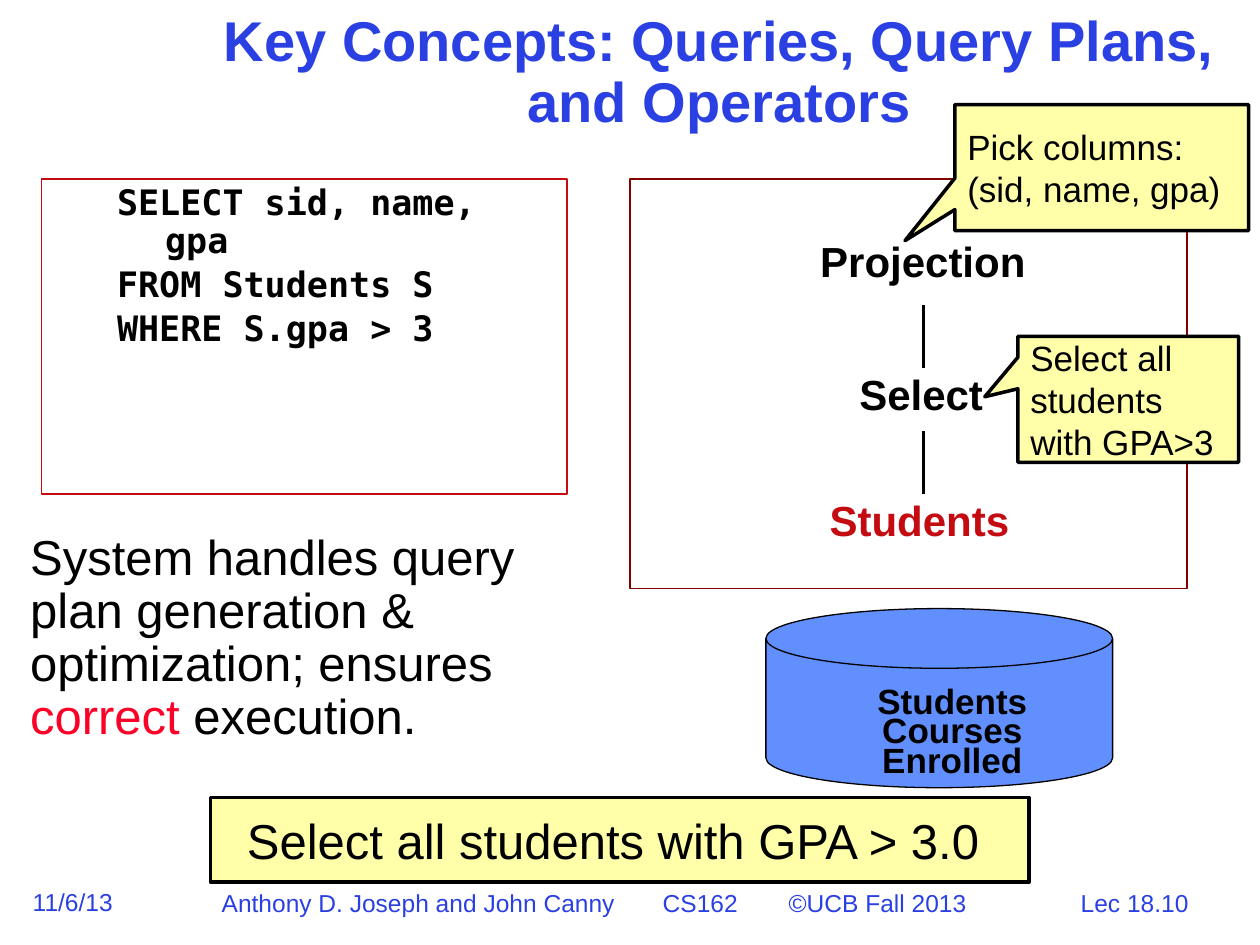
from dataclasses import dataclass
from typing import Optional

from lxml import etree
from pptx import Presentation
from pptx import util as u
from pptx.dml.color import RGBColor
from pptx.enum import shapes, text
from pptx.oxml import ns

COLORS = {
    "blue": "2A40E2",
    "black": "000000",
    "white": "FFFFFF",
    "red": "C40B12",
    "bright_red": "FC0128",
    "maroon": "800000",
    "disk": "618FFD",
    "yellow": "FFFFAA",
}
LEFT, CENTER = text.PP_ALIGN.LEFT, text.PP_ALIGN.CENTER
TOP, MIDDLE, BOTTOM = (
    text.MSO_ANCHOR.TOP,
    text.MSO_ANCHOR.MIDDLE,
    text.MSO_ANCHOR.BOTTOM,
)
RECTANGLE = shapes.MSO_SHAPE.RECTANGLE
CALLOUT = shapes.MSO_SHAPE.RECTANGULAR_CALLOUT
DISK = shapes.MSO_SHAPE.FLOWCHART_MAGNETIC_DISK


@dataclass
class Area:
    left: float
    top: float
    width: float
    height: float

    def lengths(self) -> list:
        return [u.Cm(n) for n in (self.left, self.top, self.width, self.height)]


@dataclass
class Footer:
    area: Area
    words: str
    align: text.PP_ALIGN = LEFT
    tabs: tuple = ()


@dataclass
class Operator:
    area: Area
    name: str
    color: str = "black"
    line_spacing: float = 0.9
    wrap: bool = False


@dataclass
class Callout:
    area: Area
    words: str
    tip: tuple


def rgb(name: str) -> RGBColor:
    return RGBColor.from_string(COLORS[name])


def write(box, paragraphs: list, *, size: float, color: str = "black", font: str = "Arial",
          bold: bool = False, align=LEFT, anchor=TOP, wrap: bool = True,
          line_spacing: Optional[float] = None, before: float = 0, after: float = 0,
          margin: float = 0, indent: float = 0, tabs: tuple = ()) -> None:
    frame = box.text_frame
    frame.word_wrap = wrap
    frame.vertical_anchor = anchor
    for index, spans in enumerate(paragraphs):
        para = frame.add_paragraph() if index else frame.paragraphs[0]
        para.alignment = align
        para.space_before, para.space_after = u.Pt(before), u.Pt(after)
        if line_spacing:
            para.line_spacing = line_spacing
        properties = para._p.get_or_add_pPr()
        properties.set("marL", str(u.Cm(margin)))
        properties.set("indent", str(u.Cm(indent)))
        if tabs:
            stops = etree.SubElement(properties, ns.qn("a:tabLst"))
            for stop in tabs:
                etree.SubElement(stops, ns.qn("a:tab"), pos=str(u.Cm(stop)), algn="l")
        for words, span_color in [(spans, color)] if isinstance(spans, str) else spans:
            for number, line in enumerate(words.split("\n")):
                if number:
                    para.add_line_break()
                span = para.add_run()
                span.text = line
                span.font.size, span.font.name, span.font.bold = u.Pt(size), font, bold
                span.font.color.rgb = rgb(span_color)


def add_text(parent, area: Area, paragraphs: list, **style) -> object:
    box = parent.add_textbox(*area.lengths())
    write(box, paragraphs, **style)
    return box


def add_panel(parent, kind, area: Area, fill: str, line: str, weight: float = 0.75) -> object:
    panel = parent.add_shape(kind, *area.lengths())
    panel.shadow.inherit = False
    panel.fill.solid()
    panel.fill.fore_color.rgb = rgb(fill)
    panel.line.color.rgb = rgb(line)
    panel.line.width = u.Pt(weight)
    return panel


def add_link(parent, x: float, top: float, bottom: float) -> None:
    link = parent.add_connector(
        shapes.MSO_CONNECTOR.STRAIGHT, u.Cm(x), u.Cm(top), u.Cm(x), u.Cm(bottom))
    link.line.color.rgb = rgb("black")
    link.line.width = u.Pt(1.5)
    etree.SubElement(link._element.spPr, ns.qn("a:effectLst"))


def add_callout(parent, callout: Callout) -> None:
    panel = add_panel(parent, CALLOUT, callout.area, "yellow", "black", 2)
    panel.adjustments[0], panel.adjustments[1] = callout.tip
    write(panel, [callout.words], size=20, anchor=MIDDLE)


FOOTERS = [
    Footer(Area(20.68, 17.78, 4.39, 0.84), "Lec 18.10", CENTER),
    Footer(Area(0.41, 17.75, 2.16, 0.84), "11/6/13"),
    Footer(Area(4.22, 17.78, 15.6, 0.84),
           "Anthony D. Joseph and John Canny\tCS162\t©UCB Fall 2013", tabs=(8.87, 11.47)),
]
OPERATORS = [
    Operator(Area(16.31, 9.96, 4.45, 1.17), "Students", "red", wrap=True),
    Operator(Area(17.07, 7.42, 3, 1.17), "Select"),
    Operator(Area(16.28, 4.9, 4.65, 0.97), "Projection", line_spacing=0.7),
]
CALLOUTS = [
    Callout(Area(20.52, 6.78, 4.45, 2.54), "Select all students with GPA>3", (-0.65, -0.02)),
    Callout(Area(19.25, 2.11, 5.92, 2.54), "Pick columns:\n(sid, name, gpa)", (-0.67, 0.58)),
]


def main() -> None:
    deck = Presentation()
    deck.slide_width, deck.slide_height = u.Cm(25.4), u.Cm(19.05)
    page = deck.slides.add_slide(deck.slide_layouts[6]).shapes

    for footer in FOOTERS:
        add_text(page, footer.area, [footer.words], size=14, color="blue",
                 align=footer.align, wrap=False, tabs=footer.tabs)
    add_panel(page, DISK, Area(15.44, 12.27, 6.99, 3.61), "disk", "black")
    add_text(page, Area(4.24, 0.64, 20.52, 1.7),
             ["Key Concepts: Queries, Query Plans, and Operators"],
             size=32, color="blue", bold=True, align=CENTER, anchor=MIDDLE, line_spacing=0.9)
    add_text(page, Area(-0.43, 10.62, 12.7, 5.05),
             [[("System handles query plan generation & optimization; ensures ", "black"),
               ("correct ", "bright_red"), ("execution.", "black")]],
             size=28, line_spacing=0.9, before=2.5, after=1.2, margin=0.79)

    query = add_panel(page, RECTANGLE, Area(0.84, 3.61, 10.59, 6.35), "white", "red")
    write(query, ["SELECT sid, name, gpa", "FROM Students S", "WHERE S.gpa > 3"],
          size=20, font="DejaVu Sans Mono", bold=True, line_spacing=0.9,
          before=2.5, after=1.2, margin=2.24, indent=-0.97)

    plan = page.add_group_shape().shapes
    add_panel(plan, RECTANGLE, Area(12.7, 3.61, 11.23, 8.26), "white", "maroon")
    for operator in OPERATORS:
        add_text(plan, operator.area, [operator.name], size=24, color=operator.color,
                 bold=True, align=CENTER, wrap=operator.wrap,
                 line_spacing=operator.line_spacing, before=6)
    for top in (8.69, 6.15):
        add_link(plan, 18.62, top, top + 1.27)

    tables = add_text(page, Area(15.67, 13.34, 6.55, 2.34), ["Students", "Courses", "Enrolled"],
                      size=20, bold=True, align=CENTER, anchor=BOTTOM, wrap=False,
                      line_spacing=0.5, before=5, margin=0.51)
    tables.text_frame.margin_bottom = 0

    banner = add_panel(page, RECTANGLE, Area(4.24, 16.08, 16.51, 1.7), "yellow", "black", 2)
    write(banner, ["Select all students with GPA > 3.0 "], size=28, align=CENTER, anchor=MIDDLE)
    for callout in CALLOUTS:
        add_callout(page, callout)

    deck.save("out.pptx")


if __name__ == "__main__":
    main()
